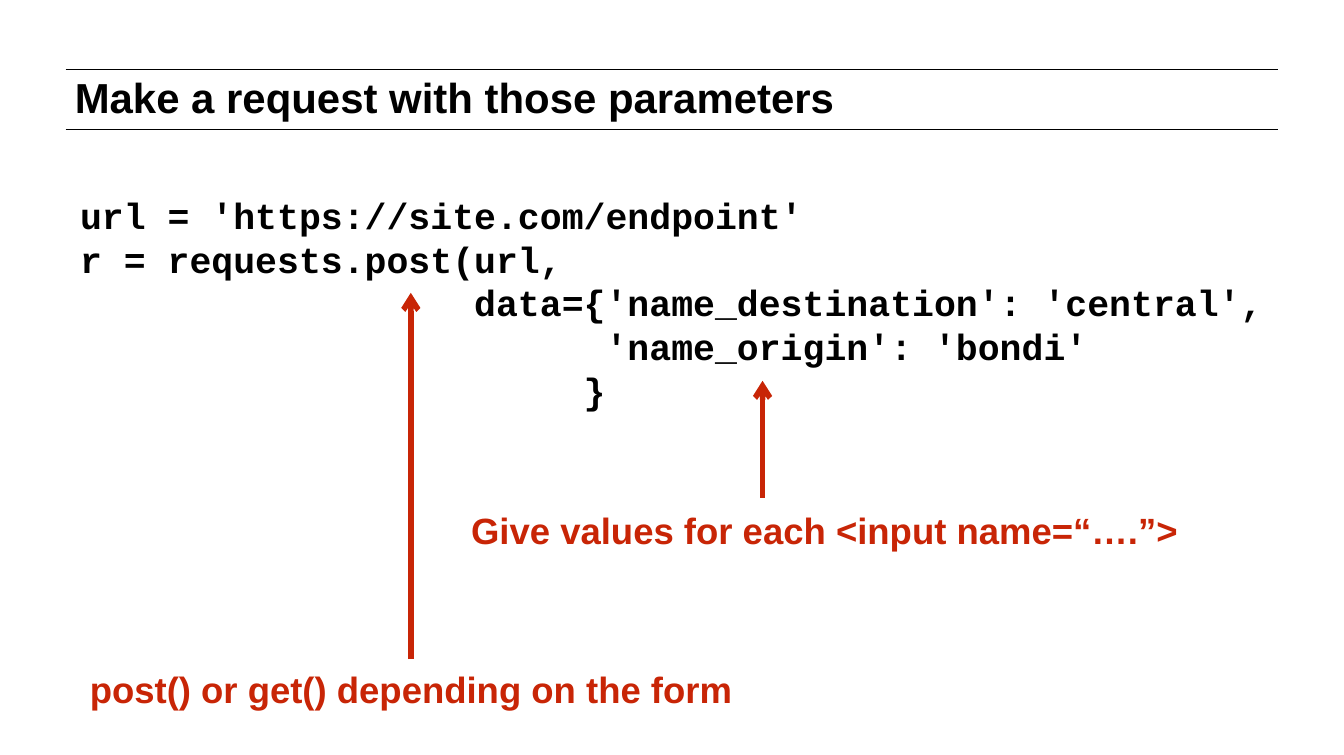
import pptx
import pptx.dml.color
import pptx.enum.shapes
import pptx.enum.text
import pptx.oxml
import pptx.oxml.ns
import pptx.util
from pptx.util import Inches, Pt

# Content
TITLE = "Make a request with those parameters"
CODE = [
    "url = 'https://site.com/endpoint'",
    "r = requests.post(url,",
    "                  data={'name_destination': 'central',",
    "                        'name_origin': 'bondi'",
    "                       }",
]
# Each note: wording, box (left, top, width, height), arrow (x, start y, tip y)
NOTES = [
    ("post() or get() depending on the form", (0.6, 5.02, 5.07, 0.45), (3.13, 5.02, 2.23)),
    ("Give values for each <input name=“….”>", (3.51, 3.81, 5.55, 0.45), (5.81, 3.79, 2.9)),
]
RULE_LEFT, RULE_RIGHT = 0.5, 9.74
RULE_TOPS = [0.53, 0.99]
COLORS = {"text": "000000", "accent": "C82506", "background": "FFFFFF"}

ALIGN = pptx.enum.text.PP_ALIGN
ANCHOR = pptx.enum.text.MSO_ANCHOR


def rgb(name):
    return pptx.dml.color.RGBColor.from_string(COLORS[name])


def add_text(slide, lines, box, size, color, font="Arial", spacing=None,
             indent=0, align=ALIGN.LEFT, anchor=ANCHOR.TOP, wrap=True):
    frame = slide.shapes.add_textbox(*map(Inches, box)).text_frame
    frame.word_wrap = wrap
    frame.vertical_anchor = anchor
    frame.margin_left = frame.margin_right = Inches(0.06)
    frame.margin_top = frame.margin_bottom = Inches(0.06)
    for index, line in enumerate(lines):
        paragraph = frame.add_paragraph() if index else frame.paragraphs[0]
        paragraph.alignment = align
        if spacing:
            paragraph.line_spacing = Pt(spacing)
        if indent:
            paragraph._p.get_or_add_pPr().set("marL", str(Inches(indent)))
        run = paragraph.add_run()
        run.text = line
        run.font.name = font
        run.font.size = Pt(size)
        run.font.bold = True
        run.font.color.rgb = rgb(color)


def add_line(slide, start, end, color, width, arrow=False):
    line = slide.shapes.add_connector(
        pptx.enum.shapes.MSO_CONNECTOR.STRAIGHT, *map(Inches, start + end))
    line.line.color.rgb = rgb(color)
    line.line.width = Pt(width)
    if arrow:
        head = pptx.oxml.parse_xml(
            f'<a:tailEnd {pptx.oxml.ns.nsdecls("a")} type="arrow"/>')
        line.line._get_or_add_ln().append(head)
    # An empty effect list removes the theme shadow
    line._element.spPr.append(
        pptx.oxml.parse_xml(f'<a:effectLst {pptx.oxml.ns.nsdecls("a")}/>'))


def main():
    deck = pptx.Presentation()
    deck.slide_width, deck.slide_height = Inches(10.24), Inches(5.75)
    slide = deck.slides.add_slide(deck.slide_layouts[6])
    slide.background.fill.solid()
    slide.background.fill.fore_color.rgb = rgb("background")

    # Title between two rules
    for top in RULE_TOPS:
        add_line(slide, (RULE_LEFT, top), (RULE_RIGHT, top), "text", 0.5)
    add_text(slide, [TITLE], (0.51, 0.55, 8.61, 0.52), 23, "text", spacing=23)

    # Code
    add_text(slide, CODE, (0.51, 1.41, 9.21, 4.06), 20, "text",
             font="Courier New", spacing=24, indent=0.04)

    # Notes with arrows up to the code
    for wording, box, (x, start, tip) in NOTES:
        add_line(slide, (x, start), (x, tip), "accent", 3, arrow=True)
        add_text(slide, [wording], box, 20, "accent", align=ALIGN.CENTER,
                 anchor=ANCHOR.MIDDLE, wrap=False)

    deck.save("out.pptx")


if __name__ == "__main__":
    main()
